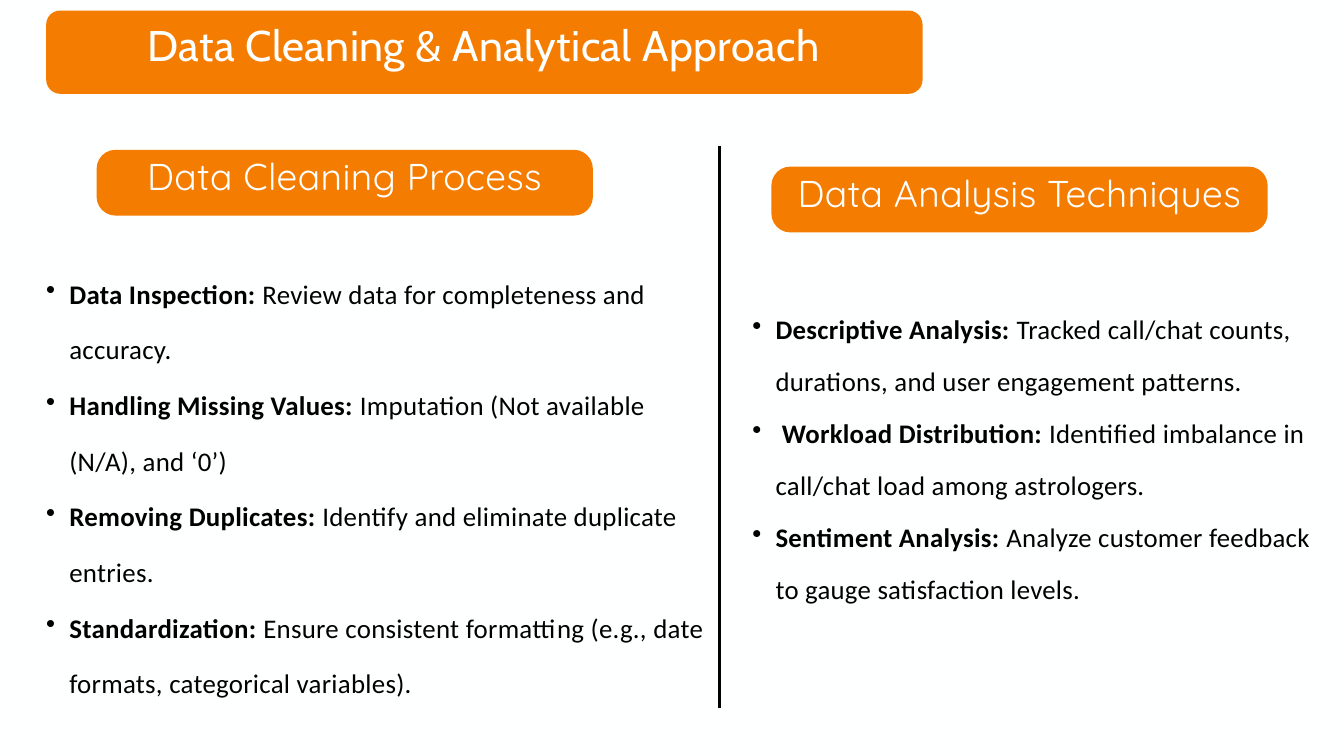
import lxml.etree
import pptx
import pptx.dml.color
import pptx.enum.shapes
import pptx.enum.text
import pptx.oxml.ns
import pptx.util

PX = 9525  # EMU per pixel, 96 pixels to the inch
ORANGE = pptx.dml.color.RGBColor(0xF4, 0x7C, 0x00)
WHITE = pptx.dml.color.RGBColor(0xFE, 0xFF, 0xFF)
BLACK = pptx.dml.color.RGBColor(0x00, 0x00, 0x00)


def style_paragraph(para, font_name, size, color, line_spacing, tracking):
    """Format a whole paragraph; tracking is in hundredths of a point."""
    para.line_spacing = pptx.util.Pt(line_spacing)
    para.font.name = font_name
    para.font.size = pptx.util.Pt(size)
    para.font.color.rgb = color
    defaults = para._p.pPr.find(pptx.oxml.ns.qn("a:defRPr"))
    defaults.set("spc", str(tracking))


deck = pptx.Presentation()
deck.slide_width = 1920 * PX
deck.slide_height = 1080 * PX
page = deck.slides.add_slide(deck.slide_layouts[5])
page.background.fill.solid()
page.background.fill.fore_color.rgb = WHITE

# Orange banners: text, left, top, width, height, corner radius, rise of the text box, font, size, leading, tracking
banners = [
    ("Data Cleaning & Analytical Approach", 66, 15, 1252, 119, 20, 34, "Cabin", 45.9, 64.3, 50),
    ("Data Cleaning Process", 138, 214, 709, 94, 27, 31, "Quicksand", 39.9, 55.9, 40),
    ("Data Analysis Techniques", 1102, 238, 709, 94, 27, 31, "Quicksand", 39.9, 55.9, 40),
]
for index, (text, left, top, width, height, radius, rise, font_name, size, leading, tracking) in enumerate(banners):
    banner = page.shapes.add_shape(
        pptx.enum.shapes.MSO_SHAPE.ROUNDED_RECTANGLE, left * PX, top * PX, width * PX, height * PX)
    banner.adjustments[0] = radius / height
    banner.shadow.inherit = False
    banner.fill.solid()
    banner.fill.fore_color.rgb = ORANGE
    banner.line.fill.background()

    if index == 0:
        box = page.shapes.title
        banner._element.addnext(box._element)  # the title lies in front of its banner
    else:
        box = page.shapes.add_textbox(0, 0, 0, 0)
    box.left, box.top = left * PX, (top - rise) * PX
    box.width, box.height = width * PX, (height + rise) * PX
    frame = box.text_frame
    frame.word_wrap = True
    frame.auto_size = pptx.enum.text.MSO_AUTO_SIZE.NONE
    frame.vertical_anchor = pptx.enum.text.MSO_ANCHOR.MIDDLE
    frame.margin_left = frame.margin_top = frame.margin_right = frame.margin_bottom = 6 * PX
    para = frame.paragraphs[0]
    para.text = text
    para.alignment = pptx.enum.text.PP_ALIGN.CENTER
    style_paragraph(para, font_name, size, WHITE, leading, tracking)

divider = page.shapes.add_connector(
    pptx.enum.shapes.MSO_CONNECTOR.STRAIGHT, 1028 * PX, 208 * PX, 1028 * PX, 1012 * PX)
divider.line.color.rgb = BLACK
divider.line.width = pptx.util.Pt(3)
lxml.etree.SubElement(divider._element.spPr, pptx.oxml.ns.qn("a:effectLst"))

# Bullet lists: left, top, width, height, size, leading, items
bullet_lists = [
    (34, 363, 984, 624, 28.8, 59.6, [
        ("Data Inspection:", " Review data for completeness and accuracy."),
        ("Handling Missing Values: ", "Imputation (Not available (N/A), and ‘0’)"),
        ("Removing Duplicates:", " Identify and eliminate duplicate entries."),
        ("Standardization:", " Ensure consistent formatting (e.g., date formats, categorical variables)."),
    ]),
    (1043, 419, 850, 511, 28.7, 55.7, [
        ("Descriptive Analysis:", " Tracked call/chat counts, durations, and user engagement patterns."),
        (" Workload Distribution:", " Identified imbalance in call/chat load among astrologers."),
        ("Sentiment Analysis:", " Analyze customer feedback to gauge satisfaction levels."),
    ]),
]
for left, top, width, height, size, leading, items in bullet_lists:
    box = page.shapes.add_textbox(left * PX, top * PX, width * PX, height * PX)
    frame = box.text_frame
    frame.word_wrap = True
    frame.margin_left = frame.margin_top = frame.margin_right = frame.margin_bottom = 0
    for index, (term, detail) in enumerate(items):
        para = frame.paragraphs[0] if index == 0 else frame.add_paragraph()
        para.level = 1
        for text, bold in ((term, True), (detail, False)):
            span = para.add_run()
            span.text = text
            span.font.bold = bold
        style_paragraph(para, "Calibri", size, BLACK, leading, 30)
        properties = para._p.pPr
        properties.set("marL", str(65 * PX))
        properties.set("indent", str(-33 * PX))
        bullet = lxml.etree.SubElement(properties, pptx.oxml.ns.qn("a:buChar"), char="•")
        properties.find(pptx.oxml.ns.qn("a:defRPr")).addprevious(bullet)

deck.save("out.pptx")
